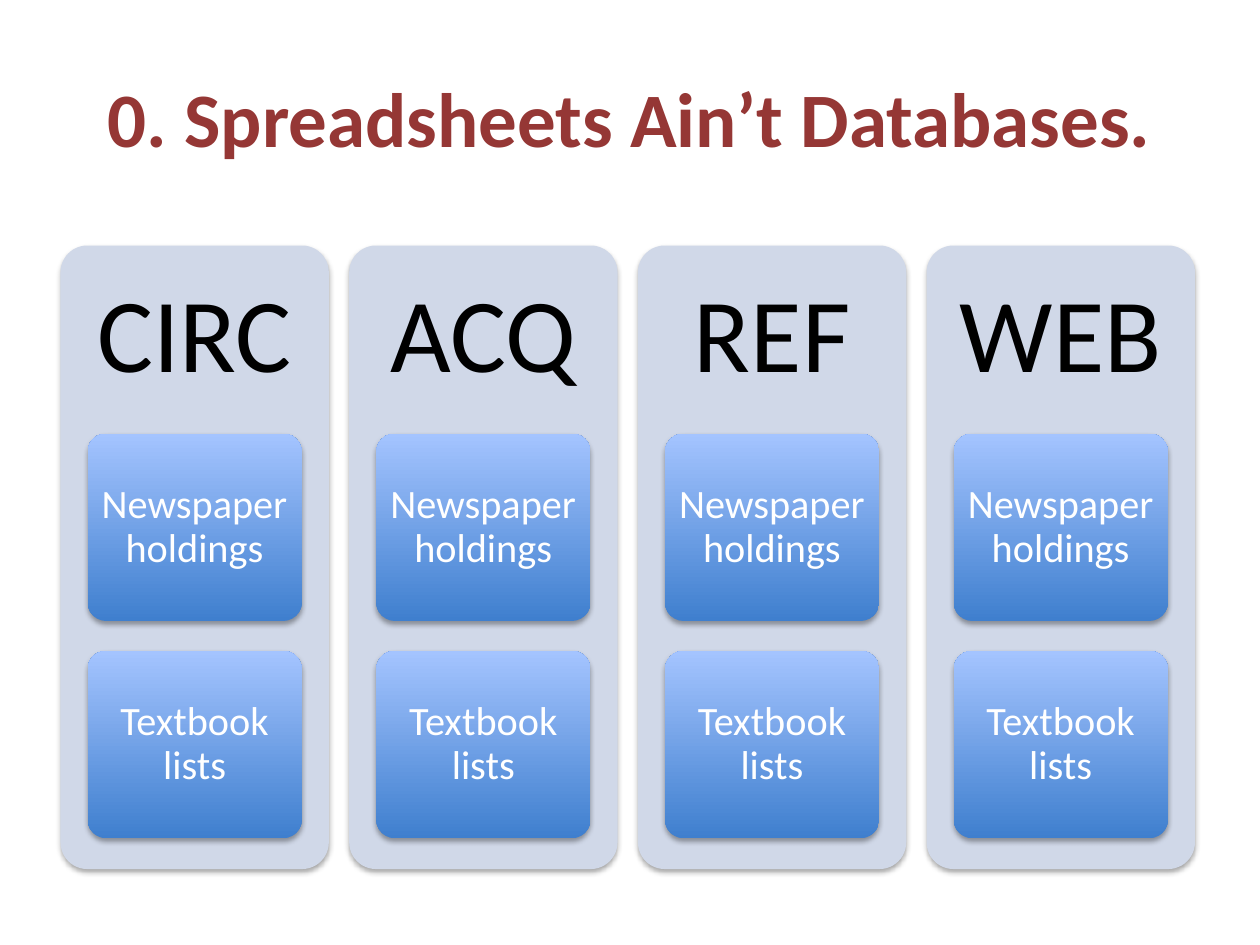
from lxml.etree import SubElement
from pptx import Presentation
from pptx.dml.color import RGBColor
from pptx.enum.shapes import MSO_SHAPE as SHAPE
from pptx.enum.text import MSO_ANCHOR as ANCHOR, PP_ALIGN as ALIGN
from pptx.oxml.ns import qn
from pptx.util import Cm, Pt

DEPARTMENTS = ["CIRC", "ACQ", "REF", "WEB"]
RECORDS = ["Newspaper holdings", "Textbook lists"]
PANEL_LEFT, PANEL_TOP, PANEL_W, PANEL_H, PANEL_STEP = 1.22, 4.95, 5.41, 12.57, 5.82
HEADER_H = 3.76
CARD_TOP, CARD_W, CARD_H, CARD_STEP = 8.74, 4.32, 3.78, 4.38


def rgb(value):
    """Turn a hex string into a colour."""
    return RGBColor.from_string(value)


def write(sp, text, size, color, inset_x, inset_y, bold=False, spacing=1.0):
    """Put one centred paragraph in the middle of a shape."""
    tf = sp.text_frame
    tf.word_wrap = True
    tf.vertical_anchor = ANCHOR.MIDDLE
    tf.margin_left = tf.margin_right = Cm(inset_x)
    tf.margin_top = tf.margin_bottom = Cm(inset_y)
    p = tf.paragraphs[0]
    p.text = text
    p.alignment = ALIGN.CENTER
    p.line_spacing = spacing
    p.font.name = "Calibri"
    p.font.size = Pt(size)
    p.font.bold = bold
    p.font.color.rgb = rgb(color)


def add_shadow(sp):
    """Give a shape a soft shadow straight below it."""
    sp.shadow.inherit = False
    effects = sp._element.spPr.find(qn("a:effectLst"))
    shadow = SubElement(effects, qn("a:outerShdw"), blurRad=str(Pt(3.1)),
                        dist=str(Pt(1.8)), dir="5400000", rotWithShape="0")
    black = SubElement(shadow, qn("a:srgbClr"), val="000000")
    SubElement(black, qn("a:alpha"), val="35000")


def add_box(s, left, top, width, height):
    """Add a shadowed rounded rectangle without an outline."""
    sp = s.shapes.add_shape(SHAPE.ROUNDED_RECTANGLE, Cm(left), Cm(top), Cm(width), Cm(height))
    sp.adjustments[0] = 0.1
    sp.line.fill.background()
    add_shadow(sp)
    return sp


def add_card(s, left, top, text):
    """Add a blue gradient card with its label."""
    sp = add_box(s, left, top, CARD_W, CARD_H)
    sp.fill.gradient()
    sp.fill.gradient_angle = 90
    for stop, color in zip(sp.fill.gradient_stops, ["3F7FCE", "A4C4FF"]):
        stop.color.rgb = rgb(color)
    write(sp, text, 23, "FFFFFF", 0.15, 0.13, spacing=0.9)


def add_department(s, left, name):
    """Add a department panel with its heading and record cards."""
    panel = add_box(s, left, PANEL_TOP, PANEL_W, PANEL_H)
    panel.fill.solid()
    panel.fill.fore_color.rgb = rgb("D0D8E8")
    header = s.shapes.add_textbox(Cm(left), Cm(PANEL_TOP), Cm(PANEL_W), Cm(HEADER_H))
    write(header, name, 60, "000000", 0.63, 0.63, spacing=0.9)
    for row, record in enumerate(RECORDS):
        add_card(s, left + (PANEL_W - CARD_W) / 2, CARD_TOP + row * CARD_STEP, record)


def main():
    """Build the slide and save it."""
    prs = Presentation()
    prs.slide_width, prs.slide_height = Cm(25.4), Cm(19.05)
    s = prs.slides.add_slide(prs.slide_layouts[6])
    title = s.shapes.add_textbox(Cm(1.27), Cm(0.76), Cm(22.86), Cm(3.18))
    write(title, "0. Spreadsheets Ain’t Databases.", 44, "953735", 0.25, 0.13, bold=True)
    for column, name in enumerate(DEPARTMENTS):
        add_department(s, PANEL_LEFT + column * PANEL_STEP, name)
    prs.save("out.pptx")


if __name__ == "__main__":
    main()
